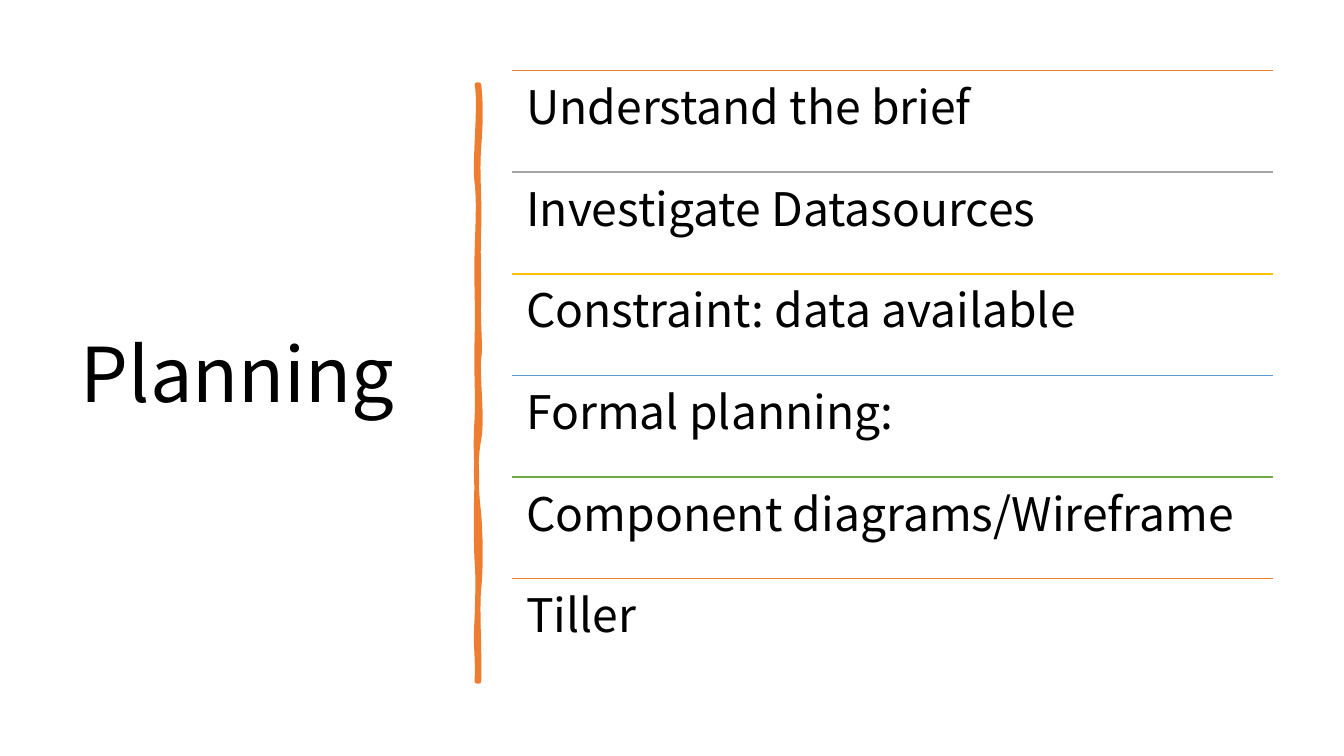
from lxml import etree
from pptx import Presentation, util as u
from pptx.dml.color import RGBColor
from pptx.enum import shapes, text
from pptx.oxml.ns import qn

TITLE = "Planning"
STEPS = [
    ("Understand the brief", "orange"),
    ("Investigate Datasources", "gray"),
    ("Constraint: data available", "gold"),
    ("Formal planning:", "blue"),
    ("Component diagrams/Wireframe", "green"),
    ("Tiller", "orange"),
]
BRUSH_START = (4.75, 0.84)
BRUSH_CURVES = [
    ((4.77, 1.02), (4.77, 1.19), (4.75, 1.46)),
    ((4.73, 1.73), (4.76, 1.95), (4.75, 2.26)),
    ((4.74, 2.57), (4.75, 2.62), (4.75, 2.94)),
    ((4.74, 3.25), (4.77, 3.42), (4.75, 3.56)),
    ((4.73, 3.7), (4.79, 4.14), (4.75, 4.36)),
    ((4.71, 4.57), (4.72, 4.84), (4.75, 5.1)),
    ((4.77, 5.36), (4.77, 5.64), (4.75, 5.84)),
    ((4.73, 6.03), (4.76, 6.5), (4.75, 6.76)),
    ((4.74, 6.76), (4.73, 6.76), (4.73, 6.76)),
    ((4.74, 6.46), (4.71, 6.44), (4.73, 6.13)),
    ((4.74, 5.83), (4.74, 5.7), (4.73, 5.57)),
    ((4.72, 5.44), (4.72, 4.95), (4.73, 4.77)),
    ((4.73, 4.59), (4.71, 4.45), (4.73, 4.15)),
    ((4.74, 3.86), (4.72, 3.73), (4.73, 3.35)),
    ((4.74, 2.98), (4.72, 2.81), (4.73, 2.5)),
    ((4.74, 2.18), (4.75, 2), (4.73, 1.81)),
    ((4.7, 1.63), (4.77, 1.04), (4.73, 0.84)),
]
THEME = {
    "font": "Noto Sans CJK KR", "title": 54, "step": 33, "rule": 1, "brush": 3.25,
    "black": "000000", "orange": "ED7D31", "gray": "A5A5A5",
    "gold": "FFC000", "blue": "5B9BD5", "green": "70AD47",
}
WIDTH, HEIGHT = 13.33, 7.5
TITLE_BOX = (0.7, 0.69, 3.74, 6.11)
LIST_LEFT, LIST_TOP, LIST_WIDTH, LIST_HEIGHT = 5.08, 0.7, 7.55, 6.05
INSET = 0.14


def color(name):
    return RGBColor.from_string(THEME[name])


def write(tf, words, size):
    tf.word_wrap = True
    p = tf.paragraphs[0]
    p.text = words
    p.alignment = text.PP_ALIGN.LEFT
    p.line_spacing = 0.9
    p.space_before = u.Pt(0)
    p.font.name = THEME["font"]
    p.font.size = u.Pt(THEME[size])
    p.font.color.rgb = color("black")


def add_title(s):
    sp = s.shapes.title
    sp.left, sp.top, sp.width, sp.height = map(u.Inches, TITLE_BOX)
    sp.text_frame.auto_size = text.MSO_AUTO_SIZE.NONE
    sp.text_frame.vertical_anchor = text.MSO_ANCHOR.MIDDLE
    write(sp.text_frame, TITLE, "title")


def bend_segments(sp, curves):
    segments = list(sp._element.iter(qn("a:lnTo")))
    for segment, curve in zip(segments, curves):
        segment.tag = qn("a:cubicBezTo")
        bend = etree.Element(qn("a:cubicBezTo"))
        for x, y in curve:
            etree.SubElement(bend, qn("a:pt"), x=str(u.Inches(x) - sp.left),
                             y=str(u.Inches(y) - sp.top))
        segment.getparent().replace(segment, bend)


def add_brush(s):
    fb = s.shapes.build_freeform(*map(u.Inches, BRUSH_START))
    ends = [tuple(map(u.Inches, curve[-1])) for curve in BRUSH_CURVES]
    fb.add_line_segments(ends, close=True)
    sp = fb.convert_to_shape()
    bend_segments(sp, BRUSH_CURVES)
    sp.shadow.inherit = False
    sp.fill.solid()
    sp.fill.fore_color.rgb = color("orange")
    sp.line.color.rgb = color("orange")
    sp.line.width = u.Pt(THEME["brush"])


def add_step(s, row, words, accent):
    pitch = LIST_HEIGHT / len(STEPS)
    x, y = u.Inches(LIST_LEFT), u.Inches(LIST_TOP + row * pitch)
    w, h = u.Inches(LIST_WIDTH), u.Inches(pitch)
    rule = s.shapes.add_connector(shapes.MSO_CONNECTOR.STRAIGHT, x, y, x + w, y)
    rule.line.color.rgb = color(accent)
    rule.line.width = u.Pt(THEME["rule"])
    etree.SubElement(rule._element.spPr, qn("a:effectLst"))
    tf = s.shapes.add_textbox(x, y, w, h).text_frame
    tf.margin_left = tf.margin_right = tf.margin_top = tf.margin_bottom = u.Inches(INSET)
    write(tf, words, "step")


def main():
    prs = Presentation()
    prs.slide_width, prs.slide_height = u.Inches(WIDTH), u.Inches(HEIGHT)
    s = prs.slides.add_slide(prs.slide_layouts[5])
    add_title(s)
    add_brush(s)
    for row, (words, accent) in enumerate(STEPS):
        add_step(s, row, words, accent)
    prs.save("out.pptx")


if __name__ == "__main__":
    main()
